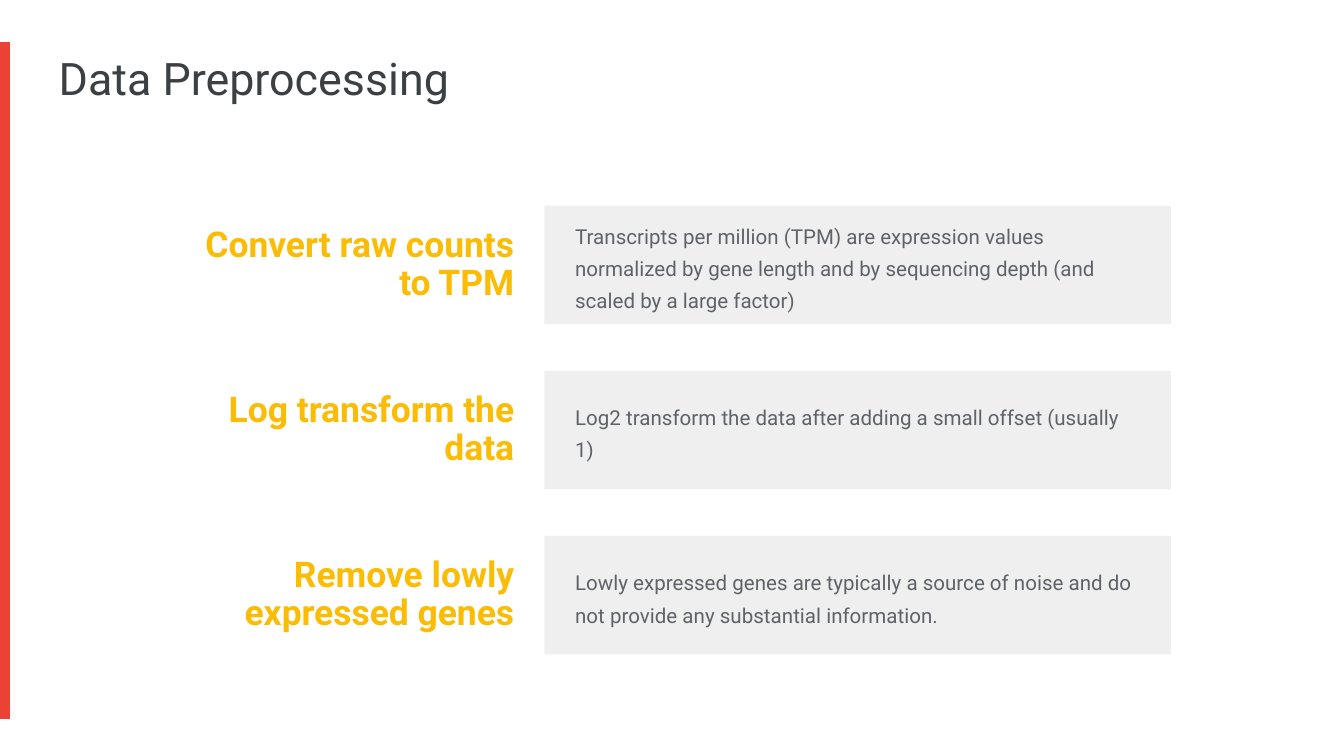
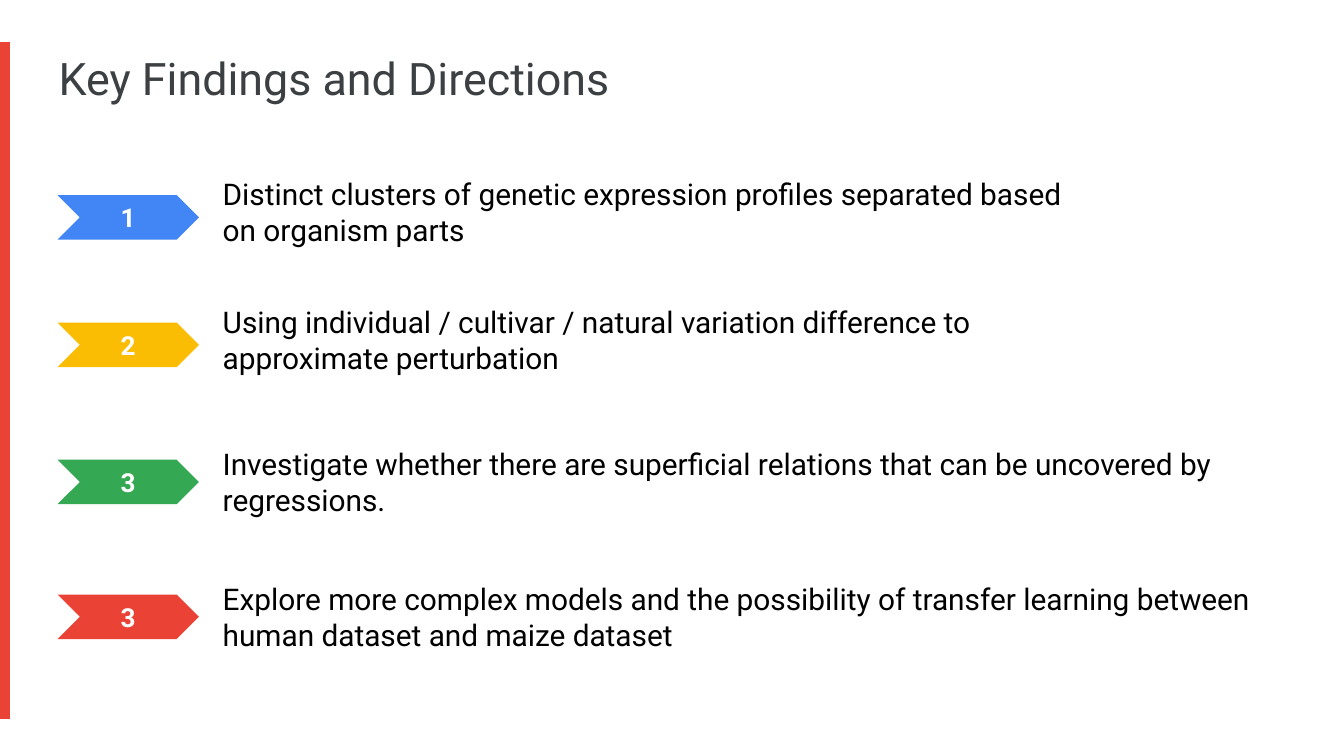
from dataclasses import dataclass

from lxml import etree
from pptx import Presentation
from pptx import util as u
from pptx.dml.color import RGBColor
from pptx.enum import shapes as sh, text as tx
from pptx.oxml.ns import qn

Cm = u.Cm

# Content: label, label width, detail
PREP = "Data Preprocessing"
CARDS = [
    ("Convert raw counts to TPM", 6.73,
     "Transcripts per million (TPM) are expression values normalized by gene "
     "length and by sequencing depth (and scaled by a large factor)"),
    ("Log transform the data", 6.15,
     "Log2 transform the data after adding a small offset (usually 1)"),
    ("Remove lowly expressed genes", 6.15,
     "Lowly expressed genes are typically a source of noise and do not "
     "provide any substantial information."),
]

# Content: number, colour, arrow top, text, text box (rise, width, height)
FINDS = "Key Findings and Directions"
STEPS = [
    ("1", "blue", 3.69, "Distinct clusters of genetic expression profiles "
     "separated based on organism parts", (0.61, 16.54, 1.88)),
    ("2", "amber", 6.1, "Using individual / cultivar / natural variation "
     "difference to approximate perturbation", (0.61, 16.99, 1.88)),
    ("3", "green", 8.69, "Investigate whether there are superficial relations "
     "that can be uncovered by regressions.", (0.51, 20.37, 2.57)),
    ("3", "red", 11.24, "Explore more complex models and the possibility of "
     "transfer learning between human dataset and maize dataset",
     (0.51, 20.37, 2.57)),
]


@dataclass(frozen=True)
class Theme:
    font: str = "Roboto"
    ink: str = "3C4043"
    grey: str = "5F6368"
    pale: str = "EFEFEF"
    black: str = "000000"
    white: str = "FFFFFF"
    gold: str = "FBBC05"
    amber: str = "FBBC04"
    blue: str = "4285F4"
    green: str = "34A853"
    red: str = "EA4335"
    title: int = 24
    label: int = 19
    body: int = 16
    num: int = 14
    small: int = 11


T = Theme()
LEFT, MID, RIGHT = tx.PP_ALIGN.LEFT, tx.PP_ALIGN.CENTER, tx.PP_ALIGN.RIGHT


def rgb(name):
    return RGBColor.from_string(getattr(T, name))


def write(shape, words, size, color, bold=False, align=LEFT, mid=False,
          lead=None, pad=0.25, grow=False):
    """Set the text of a shape and its format."""
    frame = shape.text_frame
    frame.word_wrap = True
    frame.auto_size = (tx.MSO_AUTO_SIZE.SHAPE_TO_FIT_TEXT if grow
                       else tx.MSO_AUTO_SIZE.NONE)
    frame.margin_left = frame.margin_right = Cm(0.25)
    frame.margin_top = frame.margin_bottom = Cm(pad)
    frame.vertical_anchor = tx.MSO_ANCHOR.MIDDLE if mid else tx.MSO_ANCHOR.TOP
    para = frame.paragraphs[0]
    para.alignment = align
    if lead:
        para.line_spacing = lead
    run = para.add_run()
    run.text = words
    font = run.font
    font.name, font.size, font.bold = T.font, u.Pt(size), bold
    font.color.rgb = rgb(color)


def box(parts, x, y, w, h, words, size, color, **form):
    area = parts.add_textbox(Cm(x), Cm(y), Cm(w), Cm(h))
    write(area, words, size, color, **form)


def block(parts, kind, x, y, w, h, color):
    item = parts.add_shape(kind, Cm(x), Cm(y), Cm(w), Cm(h))
    item.shadow.inherit = False
    item.fill.solid()
    item.fill.fore_color.rgb = rgb(color)
    item.line.fill.background()
    return item


def start(deck, title):
    """Add a slide with the shared title and side bar."""
    parts = deck.slides.add_slide(deck.slide_layouts[6]).shapes
    box(parts, 0.86, 0.71, 23.67, 1.6, title, T.title, "ink")
    bar = parts.add_connector(sh.MSO_CONNECTOR.STRAIGHT,
                              Cm(0.09), Cm(0.79), Cm(0.09), Cm(13.59))
    bar.line.color.rgb = rgb("red")
    bar.line.width = u.Pt(6)
    etree.SubElement(bar.element.spPr, qn("a:effectLst"))
    return parts


def prep(deck):
    parts = start(deck, PREP)
    left, top, wide, high, step = 10.29, 3.89, 11.84, 2.24, 3.12
    edge, tall = 9.97, 1.55
    for i, (label, width, detail) in enumerate(CARDS):
        y = top + i * step
        box(parts, edge - width, y + (high - tall) / 2, width, tall, label,
            T.label, "gold", bold=True, align=RIGHT, mid=True, lead=0.9,
            pad=0.13)
        # Card with its detail, inset on all sides
        card = parts.add_group_shape().shapes
        block(card, sh.MSO_SHAPE.RECTANGLE, left, y, wide, high, "pale")
        dx, dy = 0.33, 0.22
        box(card, left + dx, y + dy, wide - 2 * dx, high - 2 * dy, detail,
            T.small, "grey", mid=True, lead=1.3, pad=0.13)


def finds(deck):
    parts = start(deck, FINDS)
    for num, color, y, words, (rise, width, tall) in STEPS:
        arrow = block(parts, sh.MSO_SHAPE.CHEVRON, 1.09, y, 2.67, 0.84, color)
        write(arrow, num, T.num, "white", bold=True, align=MID, mid=True)
        box(parts, 3.96, y - rise, width, tall, words, T.body, "black",
            grow=True)


def main():
    deck = Presentation()
    deck.slide_width, deck.slide_height = Cm(25.4), Cm(14.29)
    prep(deck)
    finds(deck)
    deck.save("out.pptx")


if __name__ == "__main__":
    main()
